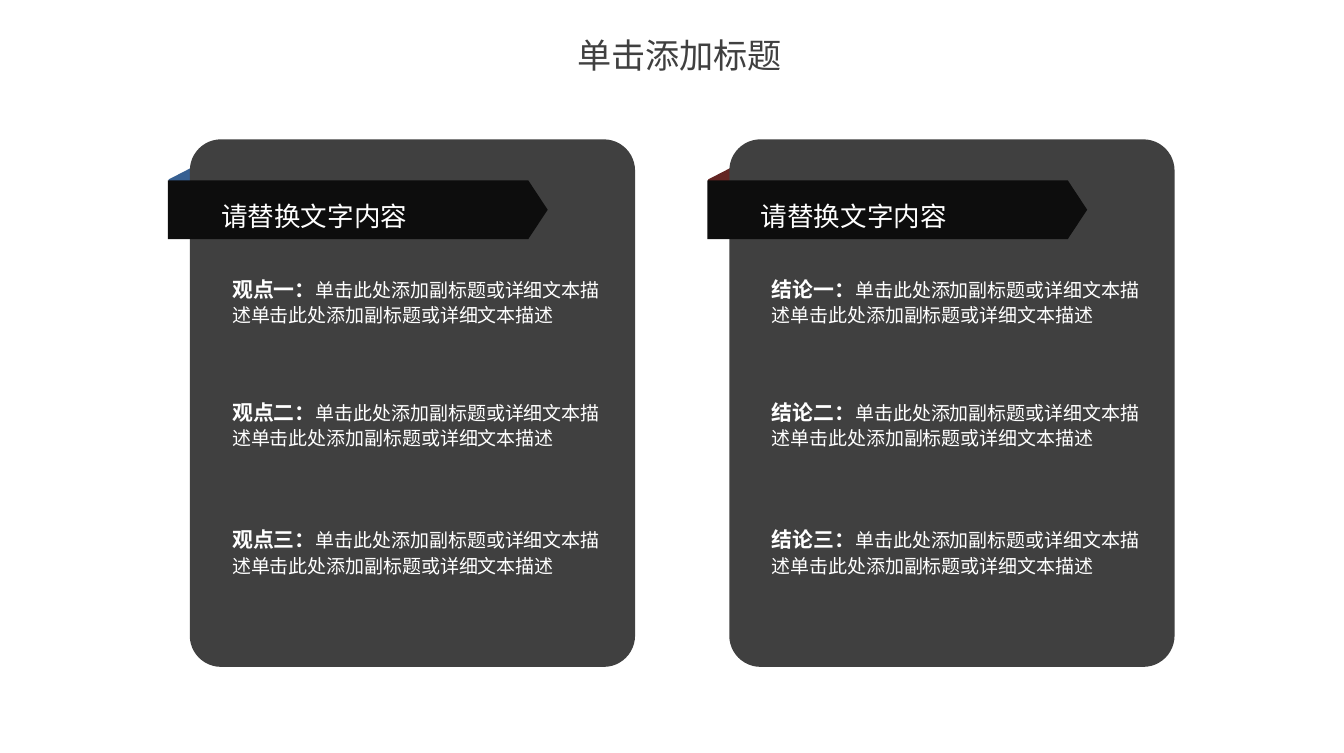
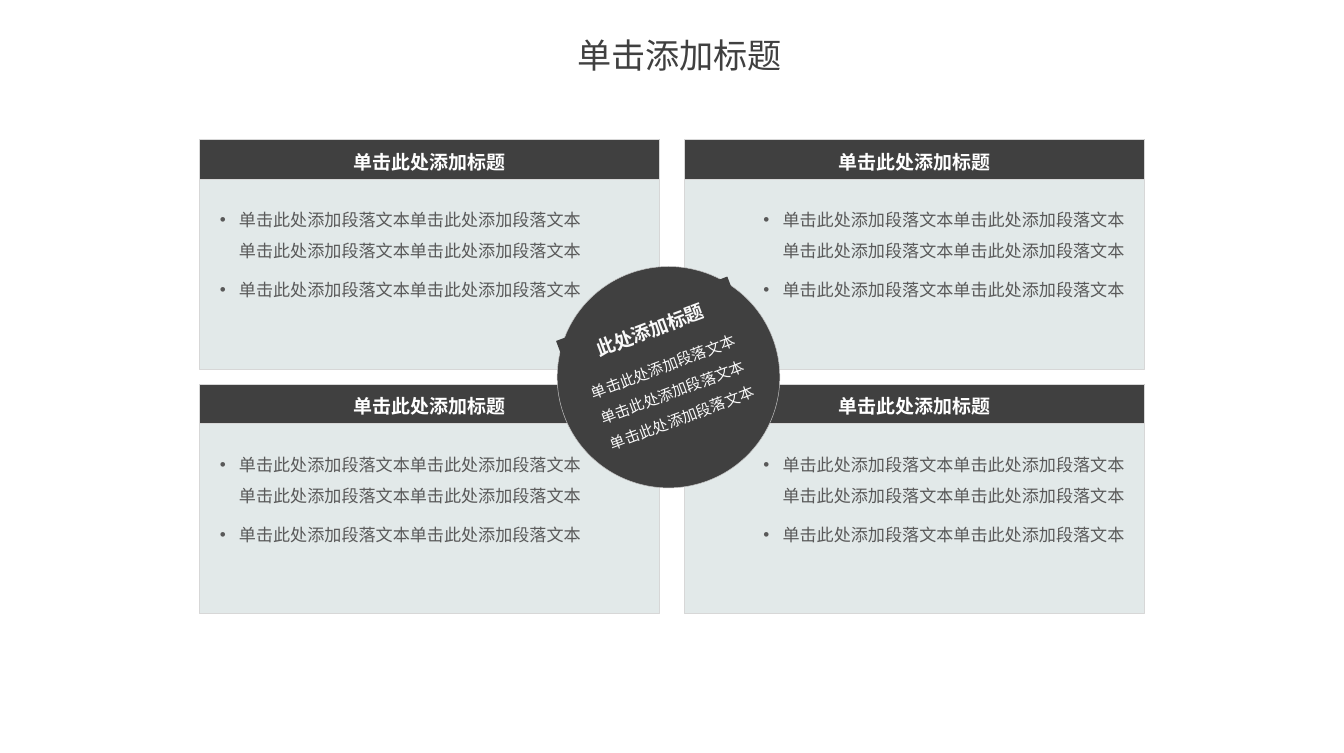
from lxml import etree
from pptx import Presentation
from pptx.dml.color import RGBColor
from pptx.enum.shapes import MSO_SHAPE
from pptx.enum.text import MSO_ANCHOR, MSO_AUTO_SIZE, PP_ALIGN
from pptx.oxml.ns import qn
from pptx.util import Inches, Pt

# Content
TITLE = "单击添加标题"
DETAIL = "单击此处添加副标题或详细文本描述" * 2
LABEL = "请替换文字内容"
CARDS = [
    ("fold_blue", ["观点一：", "观点二：", "观点三："]),
    ("fold_red", ["结论一：", "结论二：", "结论三："]),
]
HEAD = "单击此处添加标题"
UNIT = "单击此处添加段落文本"
BULLETS = [UNIT * 4, UNIT * 2]
HUB_HEAD, HUB_TEXT = "此处添加标题", UNIT * 3

# Shared style
FONT = "Noto Sans CJK SC"
COLORS = {
    "dark": "404040", "black": "0D0D0D", "white": "FFFFFF",
    "fold_blue": "376092", "fold_red": "632523", "pale": "E2E9E9",
    "edge": "D7D7D7", "rim": "C5C5C5", "body": "595959", "light": "F9F9F9",
}
RECT, OVAL = MSO_SHAPE.RECTANGLE, MSO_SHAPE.OVAL
ROUND, ARROW = MSO_SHAPE.ROUNDED_RECTANGLE, MSO_SHAPE.PENTAGON
SLANT, BAR = MSO_SHAPE.FLOWCHART_DATA, MSO_SHAPE.FLOWCHART_PROCESS
TOP, MIDDLE = MSO_ANCHOR.TOP, MSO_ANCHOR.MIDDLE
LEFT, CENTER = PP_ALIGN.LEFT, PP_ALIGN.CENTER
GROW, FIXED = MSO_AUTO_SIZE.SHAPE_TO_FIT_TEXT, MSO_AUTO_SIZE.NONE


def rgb(name):
    return RGBColor.from_string(COLORS[name])


def add_box(shapes, kind, at, fill, line=None, adj=None, turn=0):
    box = shapes.add_shape(kind, *map(Inches, at))
    box.shadow.inherit = False
    box.fill.solid()
    box.fill.fore_color.rgb = rgb(fill)
    if line:
        box.line.color.rgb = rgb(line)
        box.line.width = Pt(0.25)
    else:
        box.line.fill.background()
    if adj is not None:
        box.adjustments[0] = adj
    box.rotation = turn
    return box


def set_frame(frame, pads=(0, 0, 0, 0), anchor=TOP, size=FIXED, wrap=True):
    frame.margin_left, frame.margin_top, frame.margin_right, frame.margin_bottom = (
        map(Inches, pads))
    frame.vertical_anchor = anchor
    frame.word_wrap = wrap
    frame.auto_size = size


def style_run(run, size, color, bold=False):
    font = run.font
    font.size, font.bold, font.name = Pt(size), bold, FONT
    font.color.rgb = rgb(color)
    etree.SubElement(run.font._element, qn("a:ea")).set("typeface", FONT)


def style_text(frame, size, color, bold=False, align=LEFT, space=1.0):
    for para in frame.paragraphs:
        para.alignment, para.line_spacing = align, space
        for run in para.runs:
            style_run(run, size, color, bold)


def add_bullet(para):
    props = para._p.get_or_add_pPr()
    props.set("marL", str(Inches(0.14)))
    props.set("indent", str(-Inches(0.14)))
    etree.SubElement(props, qn("a:buFont")).set("typeface", "Arial")
    etree.SubElement(props, qn("a:buChar")).set("char", "•")


def add_slide(deck):
    slide = deck.slides.add_slide(deck.slide_layouts[5])
    title = slide.shapes.title
    title.left, title.top, title.width, title.height = map(
        Inches, (4.22, 0.25, 1.51, 0.3))
    title.text_frame.text = TITLE
    set_frame(title.text_frame, anchor=MIDDLE, wrap=False)
    style_text(title.text_frame, 18, "dark", align=CENTER)
    return slide


def add_text(shapes, at):
    frame = shapes.add_textbox(*map(Inches, at)).text_frame
    set_frame(frame, size=GROW)
    return frame


# Slide 1: two cards with a folded ribbon
def add_card(shapes, x, fold, points):
    corner = add_box(shapes, SLANT, (x - 0.32, 1.37, 0.54, 0.21), fold, turn=270)
    corner.element.spPr.get_or_add_xfrm().set("flipH", "1")
    add_box(shapes, ROUND, (x, 1.02, 3.26, 3.86), "dark", adj=0.07)
    add_box(shapes, ARROW, (x - 0.16, 1.32, 2.78, 0.43), "black", adj=0.33)
    label = add_text(shapes, (x + 0.23, 1.42, 1.83, 0.26))
    label.text = LABEL
    style_text(label, 14, "white", space=1.2)
    for y, point in zip((2.03, 2.93, 3.86), points):
        para = add_text(shapes, (x + 0.31, y, 2.71, 0.36)).paragraphs[0]
        para.line_spacing = Pt(13)
        for text, size, bold in ((point, 11, True), (DETAIL, 10, False)):
            run = para.add_run()
            run.text = text
            style_run(run, size, "white", bold)


# Slide 2: four panels around a hub
def add_panel(shapes, x, y, pads):
    head = add_box(shapes, BAR, (x, y, 3.37, 0.29), "dark", "edge")
    head.text_frame.text = HEAD
    set_frame(head.text_frame, (0.1, 0.05, 0.1, 0.05), MIDDLE)
    style_text(head.text_frame, 10, "white", True, CENTER, 1.2)

    frame = add_box(shapes, RECT, (x, y + 0.29, 3.37, 1.39), "pale", "edge").text_frame
    frame.text = "\n".join(BULLETS)
    set_frame(frame, pads)
    for para in frame.paragraphs:
        add_bullet(para)
    style_text(frame, 9, "body", space=1.5)
    for para in frame.paragraphs[1:]:
        para.space_before = Pt(4.4)


def add_hub(shapes):
    hub = shapes.add_group_shape().shapes
    add_box(hub, OVAL, (4.08, 1.95, 1.63, 1.62), "dark", "rim")
    for at, text, size, bold, space in (
        ((4.08, 2.25, 1.34, 0.29), HUB_HEAD, 10, True, 1.2),
        ((4.24, 2.49, 1.34, 0.68), HUB_TEXT, 8, False, 1.5),
    ):
        frame = add_box(hub, RECT, at, "dark", turn=339.4).text_frame
        frame.text = text
        set_frame(frame, (0.1, 0.05, 0.1, 0.05), size=GROW)
        style_text(frame, size, "light", bold, CENTER, space)


def main():
    deck = Presentation()
    deck.slide_width, deck.slide_height = Inches(9.84), Inches(5.51)

    shapes = add_slide(deck).shapes
    for i, (fold, points) in enumerate(CARDS):
        add_card(shapes, 1.39 + i * 3.95, fold, points)

    shapes = add_slide(deck).shapes
    for y in (1.02, 2.81):
        add_panel(shapes, 1.46, y, (0.15, 0.15, 0.58, 0.05))
        add_panel(shapes, 5.01, y, (0.58, 0.15, 0.15, 0.05))
    add_hub(shapes)

    deck.save("out.pptx")


if __name__ == "__main__":
    main()
